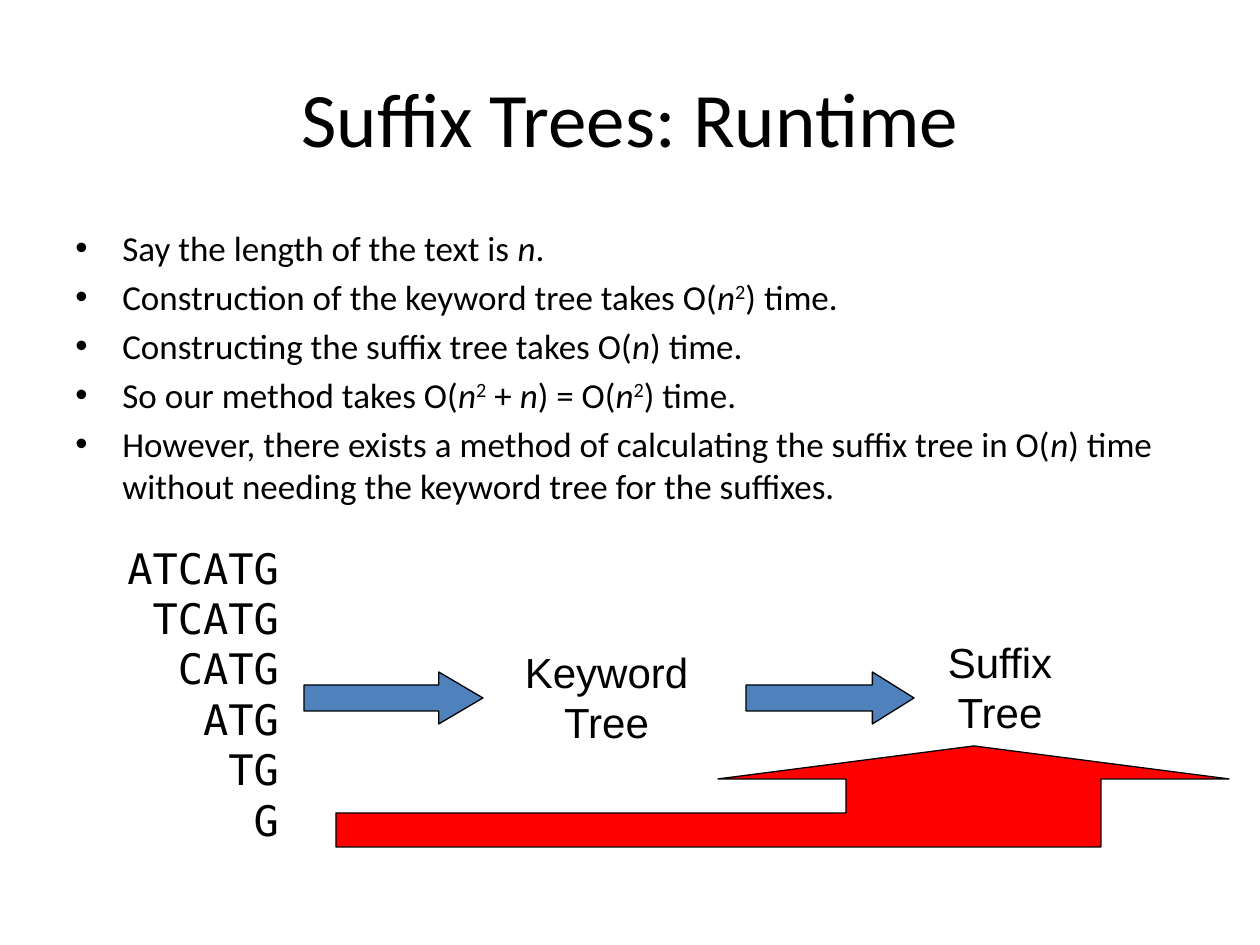
"""Builds the slide on the running time of suffix tree construction."""
import dataclasses

import lxml.etree
import pptx
import pptx.dml.color
import pptx.enum.shapes
import pptx.enum.text
import pptx.oxml.ns
import pptx.util

ALIGN = pptx.enum.text.PP_ALIGN
ANCHOR = pptx.enum.text.MSO_ANCHOR
SCALE = 914400 / 126


def px(length):
    return pptx.util.Emu(round(length * SCALE))


@dataclasses.dataclass(frozen=True)
class Theme:
    ink: str = "000000"
    step: str = "4F81BD"
    shortcut: str = "FF0000"
    body_font: str = "Calibri"
    label_font: str = "Arial"
    code_font: str = "DejaVu Sans Mono"
    title_size: int = 44
    body_size: int = 20
    label_size: int = 24
    outline: float = 0.75

    def color(self, name):
        return pptx.dml.color.RGBColor.from_string(getattr(self, name))


class SlideBuilder:
    MATH = {"n": {"i": "1"}, "2": {"baseline": "30000"}}

    def __init__(self, slide, theme):
        self.slide = slide
        self.theme = theme

    def apply(self, target, values):
        for name, value in values.items():
            setattr(target, name, value)

    def style_font(self, font, family, size):
        self.apply(font, {"name": family, "size": pptx.util.Pt(size)})
        font.color.rgb = self.theme.color("ink")

    def title(self, wording, left, top, width, height):
        heading = self.slide.shapes.title
        self.apply(heading, {"left": px(left), "top": px(top),
                             "width": px(width), "height": px(height)})
        frame = heading.text_frame
        frame.text = wording
        frame.vertical_anchor = ANCHOR.MIDDLE
        frame.paragraphs[0].alignment = ALIGN.CENTER
        self.style_font(frame.paragraphs[0].runs[0].font,
                        self.theme.body_font, self.theme.title_size)

    def text_frame(self, box):
        frame = self.slide.shapes.add_textbox(*map(px, box)).text_frame
        frame.word_wrap = True
        return frame

    def label(self, lines, box, right_inset, family, align):
        frame = self.text_frame(box)
        self.apply(frame, {"margin_left": 0, "margin_right": px(right_inset)})
        frame.text = "\n".join(lines)
        for paragraph in frame.paragraphs:
            self.apply(paragraph, {"alignment": align,
                                   "line_spacing": pptx.util.Pt(28.8)})
            self.style_font(paragraph.runs[0].font, family, self.theme.label_size)

    def bullets(self, items, box, indent):
        """Adds bulleted lines, where bars set off the pieces styled by MATH."""
        frame = self.text_frame(box)
        for index, item in enumerate(items):
            paragraph = frame.paragraphs[0] if index == 0 else frame.add_paragraph()
            paragraph.space_before = pptx.util.Pt(self.theme.body_size * 0.2)
            properties = paragraph._p.get_or_add_pPr()
            for name, value in {"marL": px(indent), "indent": -px(indent)}.items():
                properties.set(name, str(int(value)))
            for tag, name, value in (("a:buFont", "typeface", "Arial"),
                                     ("a:buChar", "char", "•")):
                lxml.etree.SubElement(properties, pptx.oxml.ns.qn(tag)).set(name, value)
            for piece in item.split("|"):
                run = paragraph.add_run()
                run.text = piece
                self.style_font(run.font, self.theme.body_font, self.theme.body_size)
                for name, value in self.MATH.get(piece, {}).items():
                    run._r.get_or_add_rPr().set(name, value)

    def paint(self, shape, color):
        shape.shadow.inherit = False
        shape.fill.solid()
        shape.fill.fore_color.rgb = self.theme.color(color)
        shape.line.color.rgb = self.theme.color("ink")
        shape.line.width = pptx.util.Pt(self.theme.outline)

    def step_arrow(self, left, top, width, height, head):
        arrow = self.slide.shapes.add_shape(
            pptx.enum.shapes.MSO_SHAPE.RIGHT_ARROW,
            *map(px, (left, top, width, height)))
        arrow.adjustments[1] = head
        self.paint(arrow, "step")

    def outline(self, points, color):
        builder = self.slide.shapes.build_freeform(*points[0], scale=SCALE)
        builder.add_line_segments(points[1:], close=True)
        self.paint(builder.convert_to_shape(), color)


def main():
    presentation = pptx.Presentation()
    presentation.slide_width = px(1260)
    presentation.slide_height = px(945)
    theme = Theme()
    page = SlideBuilder(
        presentation.slides.add_slide(presentation.slide_layouts[5]), theme)

    page.title("Suffix Trees: Runtime", 63, 38, 1134, 158)

    sequence = "ATCATG"
    suffixes = [sequence[start:] for start in range(len(sequence))]
    page.label(suffixes, (116, 536, 220, 318), 57, theme.code_font, ALIGN.RIGHT)
    page.step_arrow(304, 672, 179, 52, 0.85)
    page.label(["Keyword", "Tree"], (514, 640, 231, 115), 46,
               theme.label_font, ALIGN.CENTER)
    page.step_arrow(746, 672, 168, 52, 0.8)
    page.label(["Suffix", "Tree"], (935, 630, 158, 115), 28,
               theme.label_font, ALIGN.CENTER)

    page.bullets([
        "Say the length of the text is |n|.",
        "Construction of the keyword tree takes O(|n|2|) time.",
        "Constructing the suffix tree takes O(|n|) time.",
        "So our method takes O(|n|2| + |n|) = O(|n|2|) time.",
        "However, there exists a method of calculating the suffix tree in O(|n|) time "
        "without needing the keyword tree for the suffixes.",
    ], (63, 220, 1134, 624), 47)

    page.outline([(974, 746), (718, 779), (846, 779), (846, 813), (336, 813),
                  (336, 847), (1101, 847), (1101, 779), (1229, 779)], "shortcut")

    presentation.save("out.pptx")


if __name__ == "__main__":
    main()
